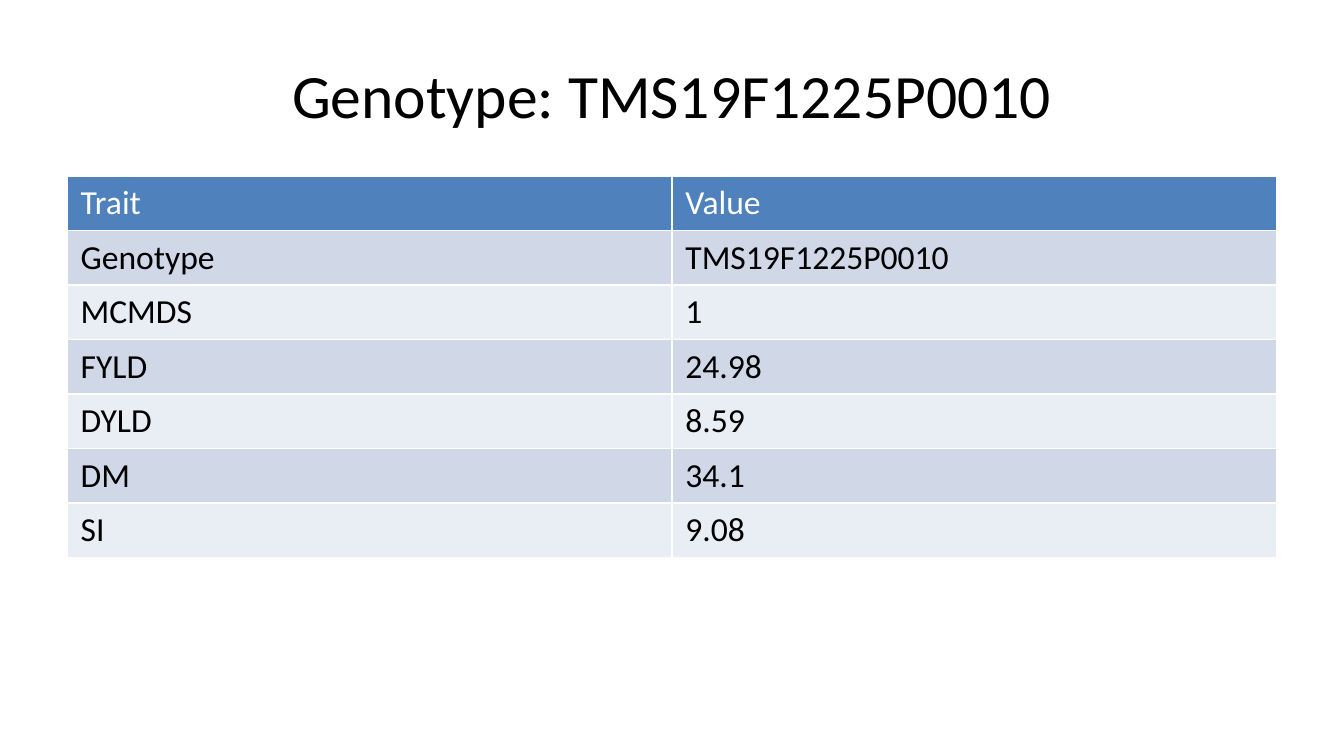
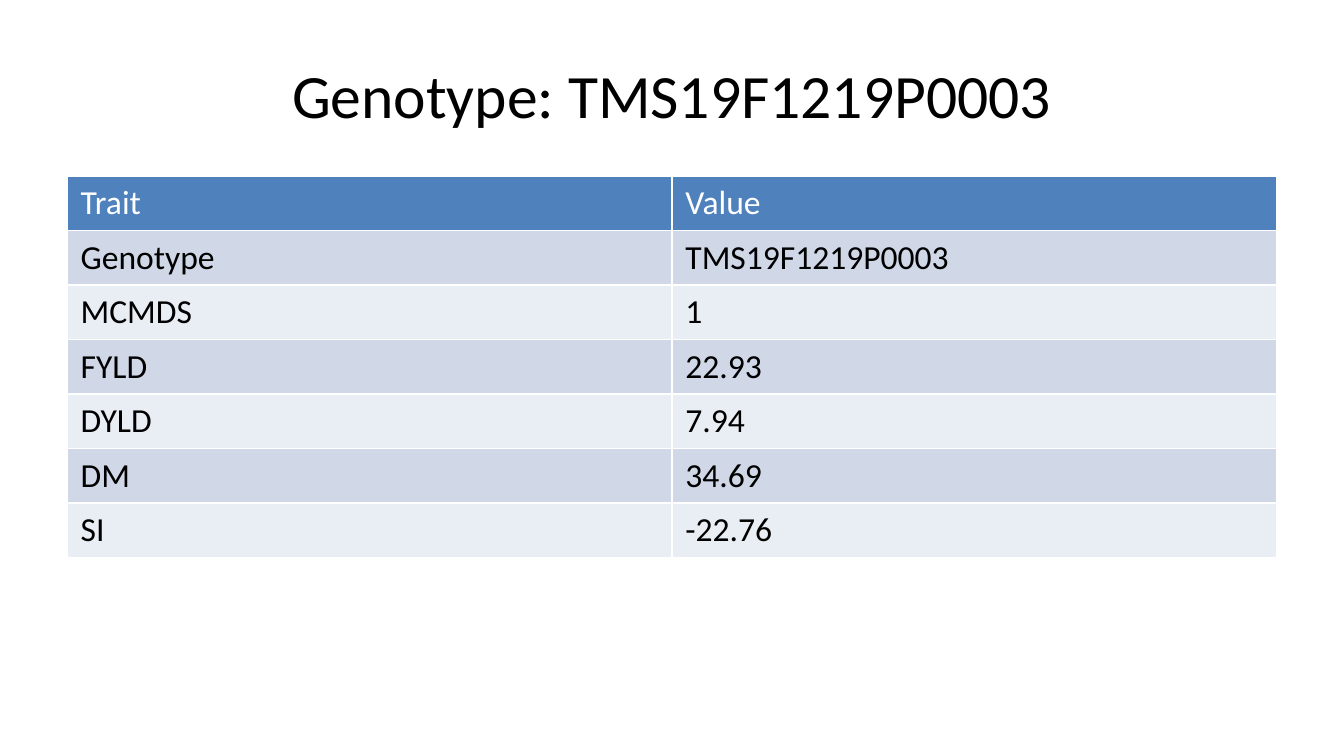
from pptx import Presentation
from pptx.dml.color import RGBColor
from pptx.enum.text import MSO_ANCHOR, PP_ALIGN
from pptx.util import Inches, Pt

HEADINGS = ("Trait", "Value")
TRAITS = ("MCMDS", "FYLD", "DYLD", "DM", "SI")
GENOTYPES = {
    "TMS19F1225P0010": ("1", "24.98", "8.59", "34.1", "9.08"),
    "TMS19F1219P0003": ("1", "22.93", "7.94", "34.69", "-22.76"),
}

FONT = "Calibri"
BLACK, WHITE = "000000", "FFFFFF"
HEADING_FILL = "4F81BD"
BAND_FILLS = ("D0D8E8", "E9EDF4")

SLIDE_WIDTH = 10
SLIDE_HEIGHT = SLIDE_WIDTH * 9 / 16
LEFT, WIDTH = 0.5, 9
TITLE_TOP, TITLE_HEIGHT = 0.23, 0.94
TABLE_TOP, TABLE_HEIGHT = 1.31, 3.71


def rgb(color):
    return RGBColor.from_string(color)


def format_text(text_frame, size, color):
    for paragraph in text_frame.paragraphs:
        for run in paragraph.runs:
            run.font.name = FONT
            run.font.size = Pt(size)
            run.font.bold = False
            run.font.color.rgb = rgb(color)


def set_title(slide, text):
    title = slide.shapes.title
    title.left, title.top = Inches(LEFT), Inches(TITLE_TOP)
    title.width, title.height = Inches(WIDTH), Inches(TITLE_HEIGHT)
    title.text_frame.text = text
    title.text_frame.vertical_anchor = MSO_ANCHOR.MIDDLE
    title.text_frame.paragraphs[0].alignment = PP_ALIGN.CENTER
    format_text(title.text_frame, 33, BLACK)


def add_trait_table(slide, rows):
    """Add a table headed by its first row; rows fit their text, rules come from the table style."""
    frame = slide.shapes.add_table(
        len(rows), len(HEADINGS), Inches(LEFT), Inches(TABLE_TOP),
        Inches(WIDTH), Inches(TABLE_HEIGHT))
    table = frame.table
    for r, row in enumerate(rows):
        table.rows[r].height = 0
        fill = BAND_FILLS[(r - 1) % 2] if r else HEADING_FILL
        for c, text in enumerate(row):
            cell = table.cell(r, c)
            cell.text_frame.text = text
            cell.fill.solid()
            cell.fill.fore_color.rgb = rgb(fill)
            format_text(cell.text_frame, 18, BLACK if r else WHITE)
    frame.height = Inches(TABLE_HEIGHT)


def main():
    presentation = Presentation()
    presentation.slide_width = Inches(SLIDE_WIDTH)
    presentation.slide_height = Inches(SLIDE_HEIGHT)
    title_only = presentation.slide_layouts[5]
    for genotype, values in GENOTYPES.items():
        slide = presentation.slides.add_slide(title_only)
        set_title(slide, f"Genotype: {genotype}")
        add_trait_table(slide, [HEADINGS, ("Genotype", genotype), *zip(TRAITS, values)])
    presentation.save("out.pptx")


if __name__ == "__main__":
    main()
